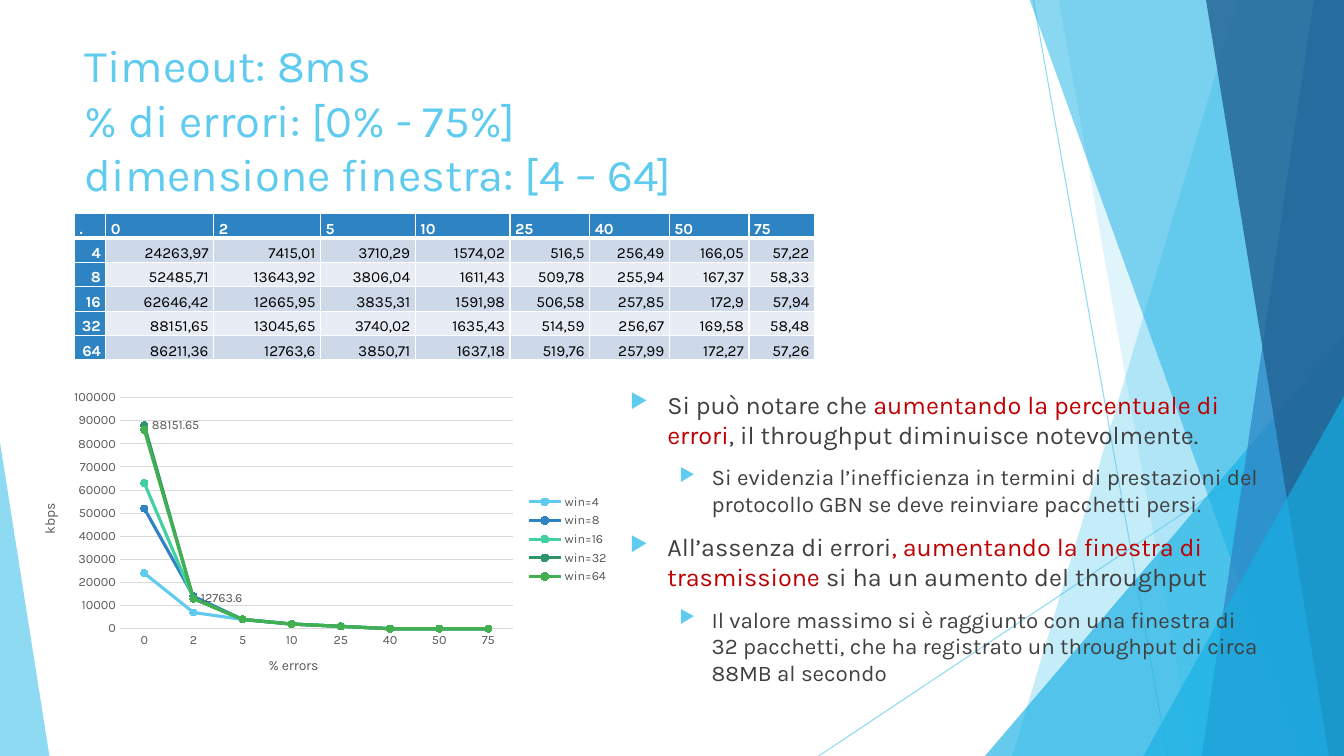
from dataclasses import dataclass

from lxml import etree
from pptx import Presentation
from pptx import util as u
from pptx.chart import data as cd
from pptx.dml.color import RGBColor
from pptx.enum import chart as ch, shapes, text
from pptx.oxml import ns

FONT = "Karla"
HUES = dict(sky="5FCBEF", cyan="17B0E4", blue="2E83C3", navy="226292",
            mint="42D0A2", teal="2E946B", green="42B051", red="C00000",
            text="404040", axis="595959", grid="D9D9D9", white="FFFFFF",
            black="000000", band="CDD9E9", pale="E8EDF5")
WIDE, HIGH = 13.33, 7.5


@dataclass
class Band:
    """Slanted strip running from its left edge to the right of the slide."""
    top: float
    base: float
    hue: str
    alpha: int


@dataclass
class Wedge:
    """Right triangle standing on the bottom of the slide."""
    left: float
    top: float
    width: float
    peak: int
    hue: str
    alpha: int


@dataclass
class Note:
    """Bulleted paragraph: level, size and (words, colour) runs."""
    level: int
    size: int
    runs: list


DECOR = [
    Band(12.28, 10.04, "sky", 36), Band(10.5, 11.83, "sky", 20),
    Wedge(9.77, 3.33, 3.56, 1, "cyan", 66),
    Band(10.21, 12.91, "cyan", 50), Band(13.03, 11.92, "blue", 70),
    Band(11.96, 13.18, "navy", 80),
    Wedge(11.34, 3.93, 1.99, 1, "cyan", 66),
    Wedge(0, 4.39, 0.49, 0, "sky", 70),
]
RAYS = [(10.25, 0, 11.58, HIGH), (WIDE, 4.03, 8.12, HIGH)]
RATES = ["0", "2", "5", "10", "25", "40", "50", "75"]
SPEEDS = {
    "4": "24263,97 7415,01 3710,29 1574,02 516,5 256,49 166,05 57,22",
    "8": "52485,71 13643,92 3806,04 1611,43 509,78 255,94 167,37 58,33",
    "16": "62646,42 12665,95 3835,31 1591,98 506,58 257,85 172,9 57,94",
    "32": "88151,65 13045,65 3740,02 1635,43 514,59 256,67 169,58 58,48",
    "64": "86211,36 12763,6 3850,71 1637,18 519,76 257,99 172,27 57,26",
}
COLS = [0.31, 1.07, 1.06, 0.94, 0.94, 0.79, 0.79, 0.79, 0.65]
LINES = ["sky", "blue", "mint", "teal", "green"]
PEAKS = {3: (0, "88151.65"), 4: (1, "12763.6")}  # series: point, label
NOTES = [
    Note(0, 18, [("Si può notare che ", "text"),
                 ("aumentando la percentuale di errori", "red"),
                 (", il throughput diminuisce notevolmente.", "text")]),
    Note(1, 16, [("Si evidenzia l’inefficienza in termini di prestazioni del "
                  "protocollo GBN se deve reinviare pacchetti persi.", "text")]),
    Note(0, 18, [("All’assenza di errori", "text"),
                 (", aumentando la finestra di trasmissione", "red"),
                 (" si ha un aumento del throughput", "text")]),
    Note(1, 16, [("Il valore massimo si è raggiunto con una finestra di "
                  "32 pacchetti, che ha registrato un throughput di circa "
                  "88MB al secondo", "text")]),
]
INDENT = [(0.37, 0.37), (0.81, 0.32)]  # text start, hanging part


def rgb(hue: str) -> RGBColor:
    """Return a named colour."""
    return RGBColor.from_string(HUES[hue])


def put(item, **vals) -> None:
    """Set attributes from format values."""
    for key, val in vals.items():
        setattr(item, key, val)


def sub(node, tag: str, **attrs):
    """Append a namespaced XML child."""
    return etree.SubElement(node, ns.qn(tag), {k: str(v) for k, v in attrs.items()})


def style(font, size: float, hue: str, bold: bool = False) -> None:
    """Format a font."""
    put(font, name=FONT, size=u.Pt(size), bold=bold)
    font.color.rgb = rgb(hue)


def fade(item, alpha: int) -> None:
    """Make the solid colour of a shape or line see-through."""
    clr = next(item.element.spPr.iter(ns.qn("a:srgbClr")))
    sub(clr, "a:alpha", val=alpha * 1000)


def draw(tree, part: Band | Wedge) -> None:
    """Draw one translucent decoration."""
    if isinstance(part, Band):
        pts = [(u.Inches(x), u.Inches(y)) for x, y in (
            (part.top, -0.01), (WIDE, -0.01), (WIDE, HIGH), (part.base, HIGH))]
        form = tree.build_freeform(*pts[0])
        form.add_line_segments(pts[1:], close=True)
        shape = form.convert_to_shape()
    else:
        shape = tree.add_shape(
            shapes.MSO_SHAPE.ISOSCELES_TRIANGLE, u.Inches(part.left),
            u.Inches(part.top), u.Inches(part.width), u.Inches(HIGH - part.top))
        shape.adjustments[0] = part.peak
    shape.shadow.inherit = False
    shape.fill.solid()
    shape.fill.fore_color.rgb = rgb(part.hue)
    shape.line.fill.background()
    fade(shape, part.alpha)


def ray(tree, ends: tuple) -> None:
    """Draw one thin line."""
    line = tree.add_connector(shapes.MSO_CONNECTOR.STRAIGHT, *map(u.Inches, ends))
    line.line.width = u.Pt(0.75)
    line.line.color.rgb = rgb("sky")
    fade(line, 70)
    sub(line.element.spPr, "a:effectLst")


def fill_cell(cell, words: str, row: int, col: int) -> None:
    """Write and format one table cell."""
    head = row == 0 or col == 0
    put(cell, text=words, vertical_anchor=text.MSO_ANCHOR.BOTTOM,
        margin_left=u.Inches(0.05), margin_right=u.Inches(0.05),
        margin_top=u.Inches(0.01), margin_bottom=0)
    para = cell.text_frame.paragraphs[0]
    put(para, line_spacing=1.3, space_after=u.Pt(8),
        alignment=text.PP_ALIGN.RIGHT if row else text.PP_ALIGN.LEFT)
    style(para.runs[0].font, 11, "white" if head else "black", head)
    props = cell._tc.get_or_add_tcPr()
    for side in "LRTB":
        thick = (row, side) in ((0, "B"), (1, "T"))
        edge = sub(props, f"a:ln{side}", w=u.Pt(3 if thick else 1))
        sub(sub(edge, "a:solidFill"), "a:srgbClr", val=HUES["white"])
    cell.fill.solid()
    cell.fill.fore_color.rgb = rgb("blue" if head else "band" if row % 2 else "pale")


def add_grid(tree) -> None:
    """Add the throughput table."""
    rows = [[".", *RATES]] + [[win, *vals.split()] for win, vals in SPEEDS.items()]
    grid = tree.add_table(len(rows), len(COLS), u.Inches(0.74), u.Inches(2.12),
                          u.Inches(sum(COLS)), u.Inches(1.39)).table
    for col, width in zip(grid.columns, COLS):
        col.width = u.Inches(width)
    for r, row in enumerate(rows):
        for c, words in enumerate(row):
            fill_cell(grid.cell(r, c), words, r, c)


def add_plot(tree) -> None:
    """Add the throughput line chart, in whole thousands."""
    data = cd.CategoryChartData()
    data.categories = RATES
    for win, vals in SPEEDS.items():
        data.add_series(f"win={win}", [round(float(v.replace(",", ".")), -3)
                                       for v in vals.split()])
    plot = tree.add_chart(ch.XL_CHART_TYPE.LINE_MARKERS, u.Inches(0.2), u.Inches(3.81),
                          u.Inches(5.94), u.Inches(3.08), data).chart
    style(plot.font, 10, "black")
    put(plot, has_title=False, has_legend=True)
    put(plot.legend, position=ch.XL_LEGEND_POSITION.RIGHT, include_in_layout=False)
    style(plot.legend.font, 9, "axis")
    plot.plots[0].vary_by_categories = False
    cat, val = plot.category_axis, plot.value_axis
    for axis, name in ((cat, "% errors"), (val, "kbps")):
        put(axis, major_tick_mark=ch.XL_TICK_MARK.NONE, minor_tick_mark=ch.XL_TICK_MARK.NONE)
        style(axis.tick_labels.font, 9, "axis")
        frame = axis.axis_title.text_frame
        frame.text = name
        style(frame.paragraphs[0].runs[0].font, 10, "axis")
    put(val, minimum_scale=0, maximum_scale=100000, major_unit=10000)
    val.format.line.fill.background()
    for line in (cat.format.line, val.major_gridlines.format.line):
        line.color.rgb, line.width = rgb("grid"), u.Pt(0.75)
    for i, (ser, hue) in enumerate(zip(plot.plots[0].series, LINES)):
        ser.smooth = False
        put(ser.marker, style=ch.XL_MARKER_STYLE.CIRCLE, size=5)
        ser.marker.format.fill.solid()
        ser.marker.format.fill.fore_color.rgb = rgb(hue)
        for line, width in ((ser.format.line, 2.25), (ser.marker.format.line, 0.75)):
            line.color.rgb, line.width = rgb(hue), u.Pt(width)
        if i in PEAKS:
            point, words = PEAKS[i]
            label = ser.points[point].data_label
            label.text_frame.text = words
            style(label.text_frame.paragraphs[0].runs[0].font, 9, "axis")
            label.position = ch.XL_LABEL_POSITION.RIGHT


def add_notes(tree) -> None:
    """Add the bulleted remarks."""
    frame = tree.add_textbox(*map(u.Inches, (6.15, 3.81, 6.49, 3.38))).text_frame
    frame.word_wrap = True
    for i, note in enumerate(NOTES):
        para = frame.add_paragraph() if i else frame.paragraphs[0]
        put(para, level=note.level, space_before=u.Pt(10))
        props = para._p.get_or_add_pPr()
        start, hang = INDENT[note.level]
        props.set("marL", str(u.Inches(start)))
        props.set("indent", str(-u.Inches(hang)))
        sub(sub(props, "a:buClr"), "a:srgbClr", val=HUES["sky"])
        sub(props, "a:buSzPct", val=80000)
        sub(props, "a:buChar", char="▶")
        for words, hue in note.runs:
            run = para.add_run()
            run.text = words
            style(run.font, note.size, hue)


def add_title(slide) -> None:
    """Place and format the title in front of the decoration."""
    title = slide.shapes.title
    put(title, left=u.Inches(0.74), top=u.Inches(0.32),
        width=u.Inches(9.4), height=u.Inches(1.59))
    frame = title.text_frame
    frame.text = "Timeout: 8ms\v% di errori: [0% - 75%]\vdimensione finestra: [4 – 64]"
    put(frame, word_wrap=True, auto_size=text.MSO_AUTO_SIZE.NONE,
        vertical_anchor=text.MSO_ANCHOR.TOP)
    para = frame.paragraphs[0]
    para.alignment = text.PP_ALIGN.LEFT
    for run in para.runs:
        style(run.font, 32.4, "sky")
    slide.shapes.element.append(title.element)


deck = Presentation()
put(deck, slide_width=u.Inches(WIDE), slide_height=u.Inches(HIGH))
slide = deck.slides.add_slide(deck.slide_layouts[5])
for ends in RAYS:
    ray(slide.shapes, ends)
for part in DECOR:
    draw(slide.shapes, part)
add_title(slide)
for add in (add_plot, add_grid, add_notes):
    add(slide.shapes)
deck.save("out.pptx")
